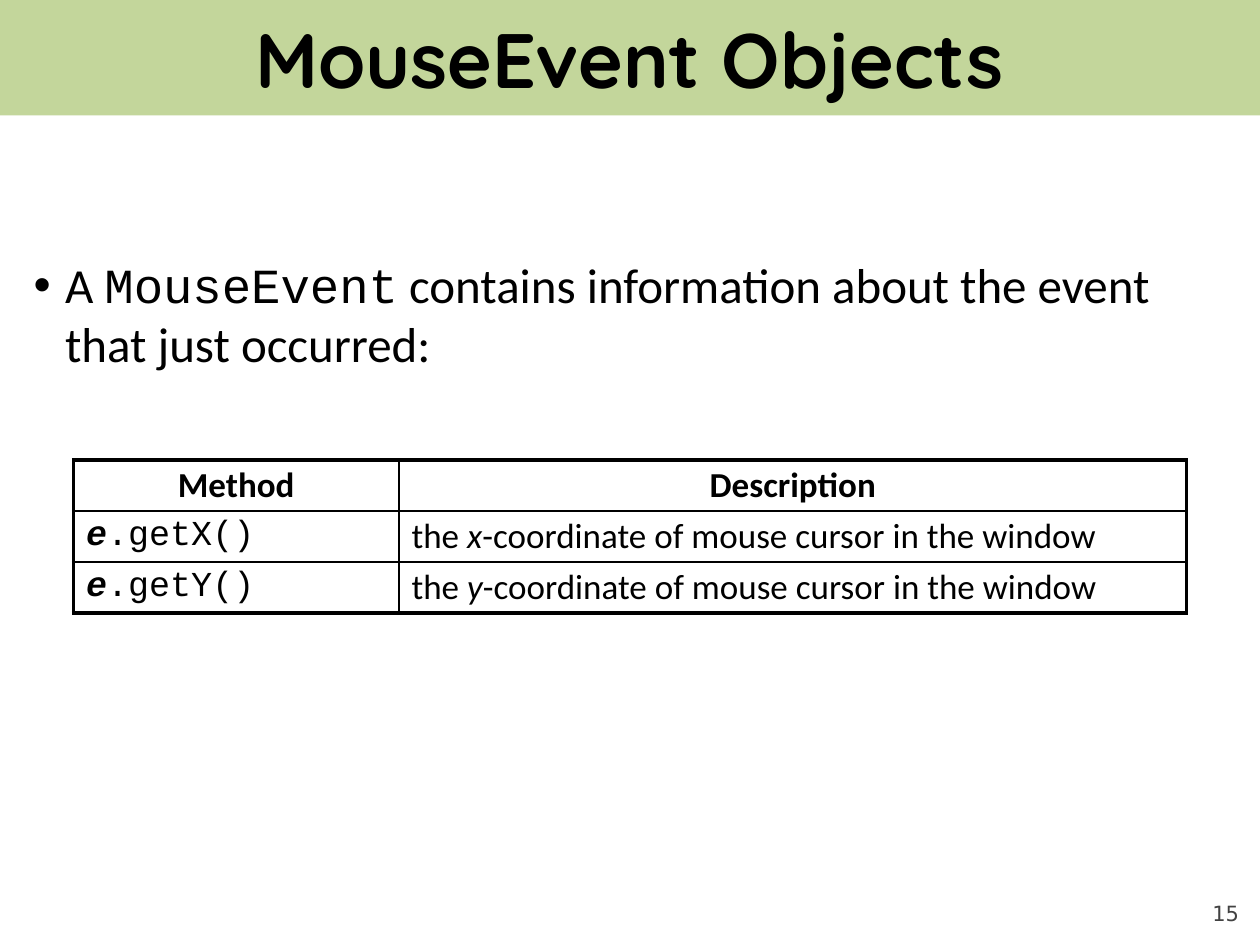
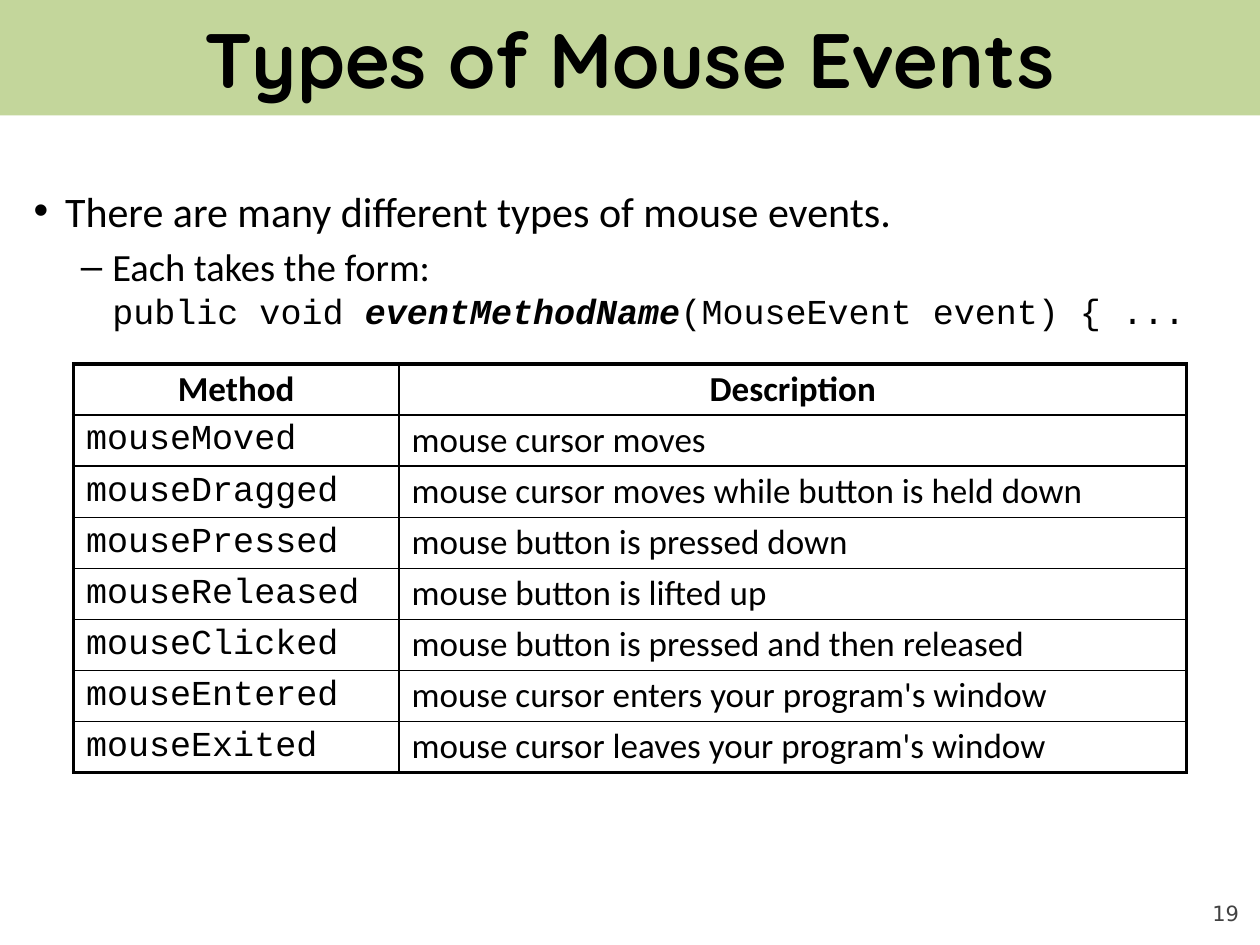
from copy import deepcopy

from lxml import etree
from pptx import Presentation
from pptx.dml.color import RGBColor
from pptx.enum.shapes import MSO_SHAPE
from pptx.enum.text import MSO_ANCHOR, MSO_AUTO_SIZE, PP_ALIGN
from pptx.oxml.ns import qn
from pptx.util import Pt

# Content: a run is (text, style); a bullet is (level, size, runs)
HEADER = ("Method", "Description")


def coordinate_row(axis):
    return ([("e", "variable"), (f".get{axis.upper()}()", "code")],
            [("the ", "plain"), (axis, "italic"),
             ("-coordinate of mouse cursor in the window", "plain")])


def event_row(method, description):
    return [(method, "code")], [(description, "plain")]


SLIDES = [
    {
        "title": "MouseEvent Objects",
        "number": "15",
        "bullets_top": 142,
        "bullets": [
            (0, 28, [("A ", "plain"), ("MouseEvent", "code"),
                     (" contains information about the event that just occurred:", "plain")]),
        ],
        "table_top": 262.8,
        "rows": [coordinate_row(axis) for axis in "xy"],
    },
    {
        "title": "Types of Mouse Events",
        "number": "19",
        "bullets_top": 102.24,
        "bullets": [
            (0, 24, [("There are many different types of mouse events.", "plain")]),
            (1, 22, [("Each takes the form:\n", "plain"), ("public void ", "code", 20),
                     ("eventMethodName", "variable", 20),
                     ("(MouseEvent event) { ...", "code", 20)]),
        ],
        "table_top": 208,
        "rows": [
            event_row("mouseMoved", "mouse cursor moves"),
            event_row("mouseDragged", "mouse cursor moves while button is held down"),
            event_row("mousePressed", "mouse button is pressed down"),
            event_row("mouseReleased", "mouse button is lifted up"),
            event_row("mouseClicked", "mouse button is pressed and then released"),
            event_row("mouseEntered", "mouse cursor enters your program's window"),
            event_row("mouseExited", "mouse cursor leaves your program's window"),
        ],
    },
]

# Shared look
BLACK, BAND_GREEN, NUMBER_GREY = "000000", "C3D69B", "424242"
STYLES = {  # font, bold, italic
    "plain": ("Calibri", False, False),
    "italic": ("Calibri", False, True),
    "heading": ("Calibri", True, False),
    "code": ("Courier New", False, False),
    "variable": ("Courier New", True, True),
    "title": ("Quicksand", True, False),
    "number": ("DejaVu Sans", False, False),
}
SLIDE_W, SLIDE_H = 720, 540
BAND_H = 66
BODY_LEFT, BODY_W, BODY_BOTTOM = 12, 696, 510
INDENTS, HANGING = (18, 45), 18
TABLE_LEFT, COLUMNS, ROW_H, TABLE_SIZE = 42, (186, 450), 29.2, 20
OUTER_LINE, INNER_LINE = 2.25, 1


def color(hex_value):
    return RGBColor.from_string(hex_value)


def place(shape, left, top, width, height):
    shape.left, shape.top, shape.width, shape.height = map(Pt, (left, top, width, height))


def format_run(run, style, size, hex_value=BLACK):
    font = run.font
    font.name, font.bold, font.italic = STYLES[style]
    font.size = Pt(size)
    font.color.rgb = color(hex_value)


def write_runs(paragraph, runs, size):
    for text, style, *own_size in runs:
        run = paragraph.add_run()
        run.text = text.rstrip("\n")
        format_run(run, style, own_size[0] if own_size else size)
        if text.endswith("\n"):
            paragraph.add_line_break()
            paragraph._p[-1].append(deepcopy(run._r.rPr))


def add_band(slide):
    band = slide.shapes.add_shape(MSO_SHAPE.ROUNDED_RECTANGLE, 0, 0, Pt(SLIDE_W), Pt(BAND_H))
    band.adjustments[0] = 0.001
    band.shadow.inherit = False
    band.fill.solid()
    band.fill.fore_color.rgb = color(BAND_GREEN)
    band.line.fill.background()
    slide.shapes._spTree.insert(2, band._element)  # behind the title


def add_title(slide, text):
    title = slide.shapes.title
    place(title, 36, 0, 648, BAND_H)
    frame = title.text_frame
    frame.text = text
    frame.auto_size = MSO_AUTO_SIZE.NONE
    frame.vertical_anchor = MSO_ANCHOR.MIDDLE
    frame.paragraphs[0].alignment = PP_ALIGN.CENTER
    format_run(frame.paragraphs[0].runs[0], "title", 44)


def add_number(slide, text):
    number = slide.shapes.add_textbox(Pt(648), Pt(500.4), Pt(60), Pt(28.8))
    frame = number.text_frame
    frame.text = text
    frame.word_wrap = True
    frame.vertical_anchor = MSO_ANCHOR.BOTTOM
    frame.margin_left = frame.margin_right = frame.margin_top = frame.margin_bottom = 0
    frame.paragraphs[0].alignment = PP_ALIGN.RIGHT
    format_run(frame.paragraphs[0].runs[0], "number", 12, NUMBER_GREY)


def add_bullets(slide, bullets, top):
    body = slide.placeholders[1]
    place(body, BODY_LEFT, top, BODY_W, BODY_BOTTOM - top)
    frame = body.text_frame
    frame.auto_size = MSO_AUTO_SIZE.NONE
    for i, (level, size, runs) in enumerate(bullets):
        paragraph = frame.add_paragraph() if i else frame.paragraphs[0]
        paragraph.level = level
        paragraph.space_before = Pt(size * 0.2 if i else 0)
        properties = paragraph._p.get_or_add_pPr()
        properties.set("marL", str(Pt(INDENTS[level])))
        properties.set("indent", str(-Pt(HANGING)))
        write_runs(paragraph, runs, size)


def set_borders(cell, widths):
    properties = cell._tc.get_or_add_tcPr()
    for side, width in zip("LRTB", widths):
        line = etree.SubElement(properties, qn(f"a:ln{side}"), w=str(Pt(width)))
        fill = etree.SubElement(line, qn("a:solidFill"))
        etree.SubElement(fill, qn("a:srgbClr"), val=BLACK)


def add_method_table(slide, rows, top):
    rows = [[[(label, "heading")] for label in HEADER], *rows]
    table = slide.shapes.add_table(len(rows), len(COLUMNS), Pt(TABLE_LEFT), Pt(top),
                                   Pt(sum(COLUMNS)), Pt(ROW_H * len(rows))).table
    table.first_row = table.horz_banding = False
    for column, width in zip(table.columns, COLUMNS):
        column.width = Pt(width)
    for r, row in enumerate(rows):
        table.rows[r].height = Pt(ROW_H)
        for c, runs in enumerate(row):
            cell = table.cell(r, c)
            at_edge = (c == 0, c == len(COLUMNS) - 1, r == 0, r == len(rows) - 1)
            set_borders(cell, [OUTER_LINE if edge else INNER_LINE for edge in at_edge])
            cell.fill.background()
            paragraph = cell.text_frame.paragraphs[0]
            paragraph.line_spacing = 0.9
            paragraph.alignment = PP_ALIGN.LEFT if r else PP_ALIGN.CENTER
            write_runs(paragraph, runs, TABLE_SIZE)


def main():
    deck = Presentation()
    deck.slide_width, deck.slide_height = Pt(SLIDE_W), Pt(SLIDE_H)
    for content in SLIDES:
        slide = deck.slides.add_slide(deck.slide_layouts[1])
        add_band(slide)
        add_title(slide, content["title"])
        add_number(slide, content["number"])
        add_bullets(slide, content["bullets"], content["bullets_top"])
        add_method_table(slide, content["rows"], content["table_top"])
    deck.save("out.pptx")


if __name__ == "__main__":
    main()
